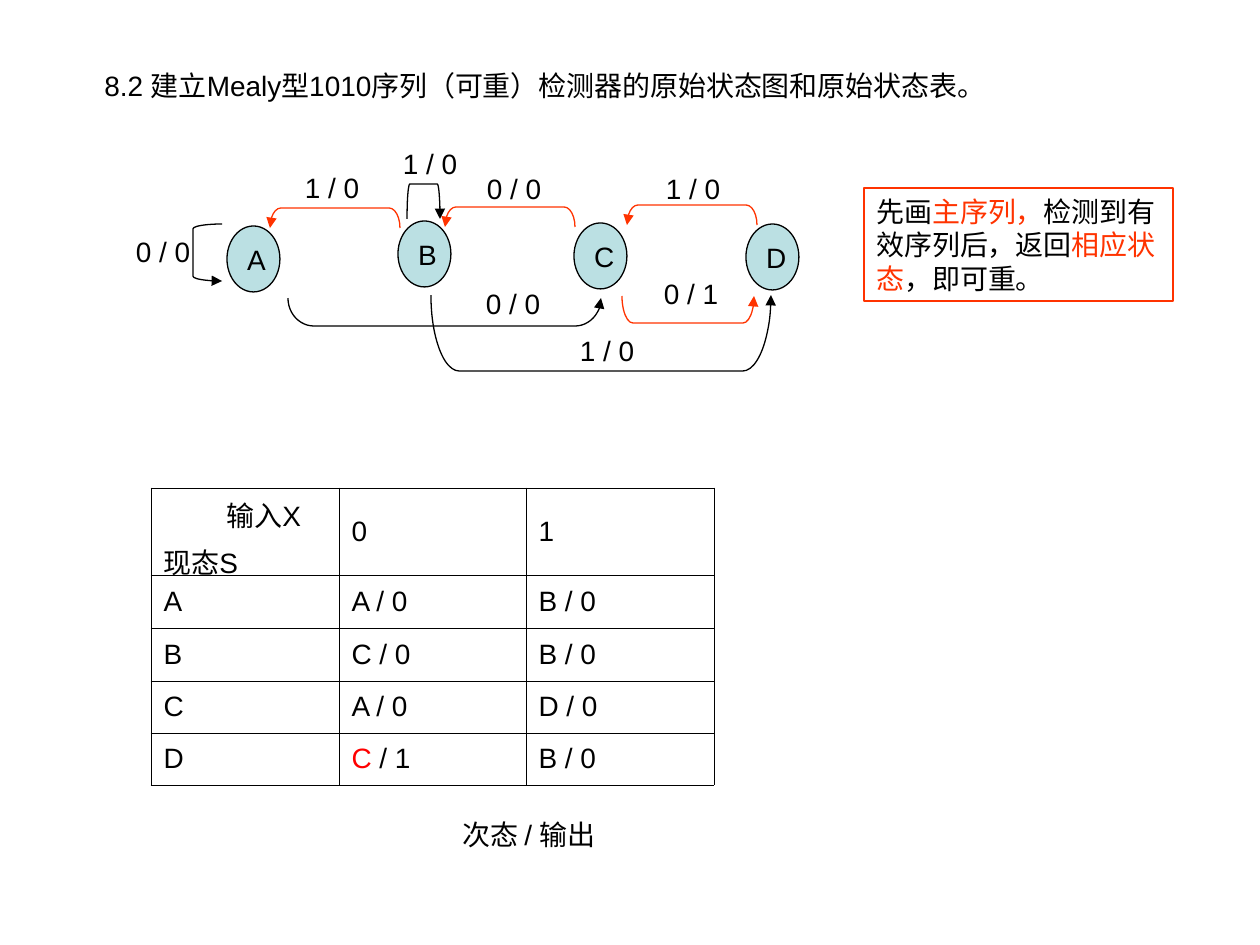
from pptx import Presentation
from pptx.dml.color import RGBColor
from pptx.enum.shapes import MSO_SHAPE
from pptx.enum.text import MSO_ANCHOR, PP_ALIGN
from pptx.oxml.ns import qn
from pptx.util import Emu, Pt
from lxml import etree

OVAL, RECT, BRACE = MSO_SHAPE.OVAL, MSO_SHAPE.RECTANGLE, MSO_SHAPE.LEFT_BRACKET
TOP, MID = MSO_ANCHOR.TOP, MSO_ANCHOR.MIDDLE
LEFT, MIDST = PP_ALIGN.LEFT, PP_ALIGN.CENTER
HUES = {"ink": "000000", "node": "BBE0E3", "main": "FF3300", "mark": "FF0000"}


def px(num):
    return Emu(round(num * 914400 / 126))


def hue(name):
    return RGBColor.from_string(HUES[name])


def write(frame, *lines, align=LEFT, gap=0, font="Arial", size=16):
    """Fill a frame with lines, each a list of (text, colour) runs."""
    for i, line in enumerate(lines):
        par = frame.add_paragraph() if i else frame.paragraphs[0]
        par.alignment = align
        par.space_before = Pt(gap if i else 0)
        for text, tone in line:
            run = par.add_run()
            run.text = text
            run.font.name, run.font.size = font, Pt(size)
            run.font.color.rgb = hue(tone)


class Sheet:
    """Hold the style and the current slide."""

    def __init__(self, slide, wide=0.75, thin=0.45):
        self.slide, self.wide, self.thin = slide, wide, thin

    def form(self, kind, box, fill=None, line="ink"):
        shape = self.slide.shapes.add_shape(kind, *map(px, box))
        shape.shadow.inherit = False
        if fill:
            shape.fill.solid()
            shape.fill.fore_color.rgb = hue(fill)
        else:
            shape.fill.background()
        shape.line.color.rgb = hue(line)
        shape.line.width = Pt(self.wide)
        return shape

    def text(self, box, text, align=MIDST):
        frame = self.slide.shapes.add_textbox(*map(px, box)).text_frame
        frame.word_wrap = True
        write(frame, [(text, "ink")], align=align)

    def node(self, x, y, name):
        frame = self.form(OVAL, (x, y, 53, 66), fill="node").text_frame
        frame.vertical_anchor = MID
        write(frame, [(name, "ink")], align=MIDST)

    def note(self, box, runs):
        frame = self.form(RECT, box, line="main").text_frame
        frame.word_wrap = True
        frame.vertical_anchor = TOP
        write(frame, runs)

    def arc(self, box, turn, tone="ink", end="headEnd"):
        x, y, w, h = box
        if turn:
            x, y, w, h = x + (w - h) / 2, y + (h - w) / 2, h, w
        shape = self.form(BRACE, (x, y, w, h), line=tone)
        shape.rotation = turn
        shape.adjustments[0] = h / 12 / min(w, h)
        tip = shape.line._get_or_add_ln()
        etree.SubElement(tip, qn("a:" + end), type="triangle")

    def edge(self, cell):
        props = cell._tc.get_or_add_tcPr()
        for i, side in enumerate(("lnL", "lnR", "lnT", "lnB")):
            line = etree.Element(qn("a:" + side), w=str(Pt(self.thin)))
            fill = etree.SubElement(line, qn("a:solidFill"))
            etree.SubElement(fill, qn("a:srgbClr"), val=HUES["ink"])
            props.insert(i, line)

    def table(self, x, y, cols, rows, data):
        box = map(px, (x, y, sum(cols), sum(rows)))
        grid = self.slide.shapes.add_table(len(rows), len(cols), *box).table
        grid.first_row = grid.horz_banding = False
        for col, size in zip(grid.columns, cols):
            col.width = px(size)
        for row, size, line in zip(grid.rows, rows, data):
            row.height = px(size)
            for cell, lines in zip(row.cells, line):
                cell.fill.background()
                cell.vertical_anchor = MID
                self.edge(cell)
                if isinstance(lines, str):
                    lines = [[(lines, "ink")]]
                write(cell.text_frame, *lines, gap=4)
        return grid


def main():
    deck = Presentation()
    deck.slide_width, deck.slide_height = px(1260), px(945)
    sheet = Sheet(deck.slides.add_slide(deck.slide_layouts[6]))

    sheet.text((92, 62, 919, 46),
               "8.2 建立Mealy型1010序列（可重）检测器的原始状态图和原始状态表。", LEFT)

    for x, y, name in ((227, 226, "A"), (398, 221, "B"),
                       (574, 223, "C"), (746, 224, "D")):
        sheet.node(x, y, name)

    for x, y in ((270, 208), (445, 207), (627, 205)):
        sheet.arc((x, y, 130, 20), 90, "main")
    sheet.arc((431, 295, 340, 76), 270)
    sheet.arc((193, 224, 29, 57), 0)
    sheet.arc((407, 184, 33, 35), 90, end="tailEnd")
    sheet.arc((288, 298, 313, 28), 270)
    sheet.arc((622, 296, 132, 27), 270, "main")

    for x, y, text in ((290, 164, "1 / 0"), (472, 165, "0 / 0"),
                       (651, 165, "1 / 0"), (565, 327, "1 / 0"),
                       (121, 228, "0 / 0"), (388, 140, "1 / 0"),
                       (471, 280, "0 / 0"), (649, 270, "0 / 1")):
        sheet.text((x, y, 84, 46), text)

    sheet.note((864, 188, 309, 113),
               [("先画", "ink"), ("主序列，", "main"),
                ("检测到有效序列后，返回", "ink"),
                ("相应状态", "main"), ("，即可重。", "ink")])

    head = [[("输入X", "ink")], [("现态S", "ink")]]
    data = [(head, "0", "1"), ("A", "A / 0", "B / 0"),
            ("B", "C / 0", "B / 0"), ("C", "A / 0", "D / 0"),
            ("D", [[("C", "mark"), (" / 1", "ink")]], "B / 0")]
    grid = sheet.table(151, 488, (188, 187, 188), (87, 53, 53, 52, 52), data)
    first = grid.cell(0, 0).text_frame.paragraphs[0]
    first._p.get_or_add_pPr().set("marL", str(px(63)))

    sheet.text((420, 811, 218, 46), "次态 / 输出")
    deck.save("out.pptx")


if __name__ == "__main__":
    main()
